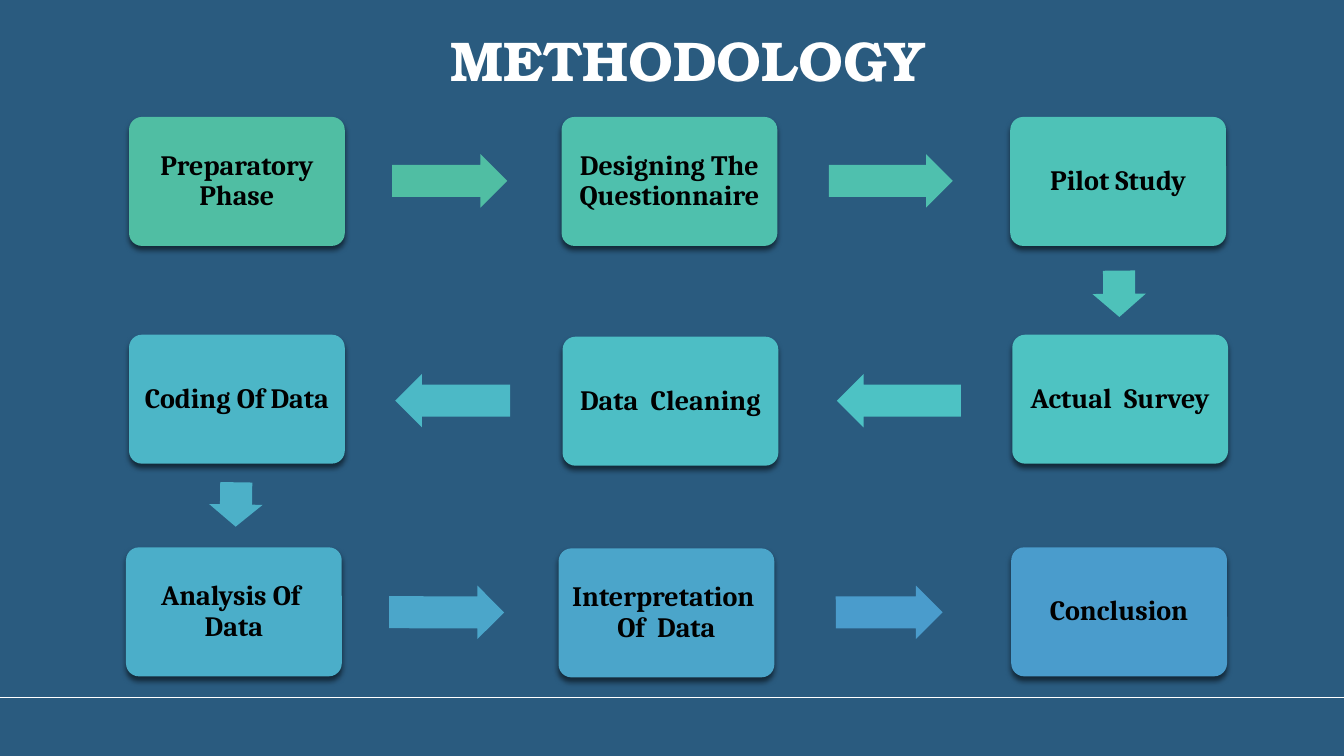
from lxml.etree import SubElement
from pptx import Presentation
from pptx.dml.color import RGBColor
from pptx.enum.shapes import MSO_CONNECTOR, MSO_SHAPE
from pptx.enum.text import MSO_ANCHOR, MSO_AUTO_SIZE, PP_ALIGN
from pptx.oxml.ns import qn
from pptx.util import Inches, Pt

COLORS = {"background": "2A5B7F", "light": "FFFFFF", "dark": "000000"}
STEP_WIDTH, STEP_HEIGHT, ARROW_HEIGHT = 2.14, 1.28, 0.53

# Label, left, top (relative to the flow area), fill
STEPS = [
    ("Preparatory Phase", 0.03, 0, "50BEA3"),
    ("Designing The Questionnaire", 4.32, 0, "4FC0AD"),
    ("Pilot Study", 8.77, 0, "4EC2B7"),
    ("Actual  Survey", 8.79, 2.16, "4EC3C2"),
    ("Data  Cleaning", 4.33, 2.18, "4DBEC5"),
    ("Coding Of Data", 0.03, 2.16, "4CB6C7"),
    ("Analysis Of  Data", 0, 4.27, "4BAEC9"),
    ("Interpretation  Of  Data", 4.29, 4.28, "4BA5CA"),
    ("Conclusion", 8.78, 4.27, "4A9CCC"),
]
# Left, top (relative to the flow area), length, rotation, fill
ARROWS = [
    (2.64, 0.37, 1.14, 0, "50BEA3"),
    (6.97, 0.37, 1.23, 0, "4FC0AE"),
    (9.62, 1.49, 0.46, 89.5, "4EC2BA"),
    (7.05, 2.55, 1.23, 180, "4DC2C4"),
    (2.67, 2.55, 1.14, 180, "4CB9C6"),
    (0.87, 3.58, 0.44, 90.8, "4CB0C8"),
    (2.61, 4.65, 1.14, 0.1, "4BA6CA"),
    (7.04, 4.65, 1.06, 359.9, "4A9CCC"),
]


def style_font(paragraph, name, size, color):
    """Set the bold font of a whole paragraph."""
    font = paragraph.font
    font.name, font.size, font.bold = name, Pt(size), True
    font.color.rgb = RGBColor.from_string(COLORS[color])


def add_shadow(shape):
    """Give the shape a soft shadow straight below it."""
    effects = SubElement(shape._element.spPr, qn("a:effectLst"))
    shadow = SubElement(effects, qn("a:outerShdw"), blurRad=str(Pt(4)),
                        dist=str(Pt(3)), dir="5400000", rotWithShape="0")
    color = SubElement(shadow, qn("a:srgbClr"), val=COLORS["dark"])
    SubElement(color, qn("a:alpha"), val="54000")


def add_filled(slide, preset, left, top, width, height, fill):
    """Add a preset shape with a plain fill and no outline."""
    shape = slide.shapes.add_shape(preset, Inches(left), Inches(top),
                                   Inches(width), Inches(height))
    shape.fill.solid()
    shape.fill.fore_color.rgb = RGBColor.from_string(fill)
    shape.line.fill.background()
    return shape


def add_step(slide, left, top, label, fill):
    """Add one rounded step box with its label."""
    shape = add_filled(slide, MSO_SHAPE.ROUNDED_RECTANGLE, left, top,
                       STEP_WIDTH, STEP_HEIGHT, fill)
    shape.adjustments[0] = 0.1
    add_shadow(shape)
    frame = shape.text_frame
    frame.word_wrap = True
    frame.vertical_anchor = MSO_ANCHOR.MIDDLE
    frame.margin_left = frame.margin_right = Inches(0.08)
    frame.margin_top = frame.margin_bottom = Inches(0.08)
    paragraph = frame.paragraphs[0]
    paragraph.text = label
    paragraph.alignment = PP_ALIGN.CENTER
    paragraph.line_spacing = 0.9
    style_font(paragraph, "Cambria", 20, "dark")


def add_arrow(slide, left, top, length, rotation, fill):
    """Add one block arrow between two steps."""
    shape = add_filled(slide, MSO_SHAPE.RIGHT_ARROW, left, top,
                       length, ARROW_HEIGHT, fill)
    shape.adjustments[0] = 0.6
    shape.adjustments[1] = 0.5
    shape.rotation = rotation
    shape.shadow.inherit = False


def add_flow(slide, left, top):
    """Add the winding process, with its top left corner at the given point."""
    for label, x, y, fill in STEPS:
        add_step(slide, left + x, top + y, label, fill)
    for x, y, length, rotation, fill in ARROWS:
        add_arrow(slide, left + x, top + y, length, rotation, fill)


def add_title(slide, left, top, width, height):
    """Add the slide heading in the given box."""
    box = slide.shapes.add_textbox(Inches(left), Inches(top),
                                   Inches(width), Inches(height))
    box.text_frame.word_wrap = True
    box.text_frame.auto_size = MSO_AUTO_SIZE.SHAPE_TO_FIT_TEXT
    paragraph = box.text_frame.paragraphs[0]
    paragraph.text = "METHODOLOGY"
    style_font(paragraph, "TeX Gyre Bonum", 40, "light")


def add_footer_line(slide, top, width):
    """Add the thin rule across the foot of the slide."""
    line = slide.shapes.add_connector(MSO_CONNECTOR.STRAIGHT, 0, Inches(top),
                                      Inches(width), Inches(top))
    line.line.color.rgb = RGBColor.from_string(COLORS["light"])
    line.line.width = Pt(1.25)
    SubElement(line._element.spPr, qn("a:effectLst"))


def build_methodology(presentation):
    """Build the methodology slide."""
    slide = presentation.slides.add_slide(presentation.slide_layouts[6])
    slide.background.fill.solid()
    slide.background.fill.fore_color.rgb = RGBColor.from_string(COLORS["background"])
    add_footer_line(slide, 6.92, 13.33)
    add_flow(slide, 1.25, 1.16)
    add_title(slide, 4.37, 0.2, 5.45, 0.77)


presentation = Presentation()
presentation.slide_width = Inches(13.33)
presentation.slide_height = Inches(7.5)
build_methodology(presentation)
presentation.save("out.pptx")
